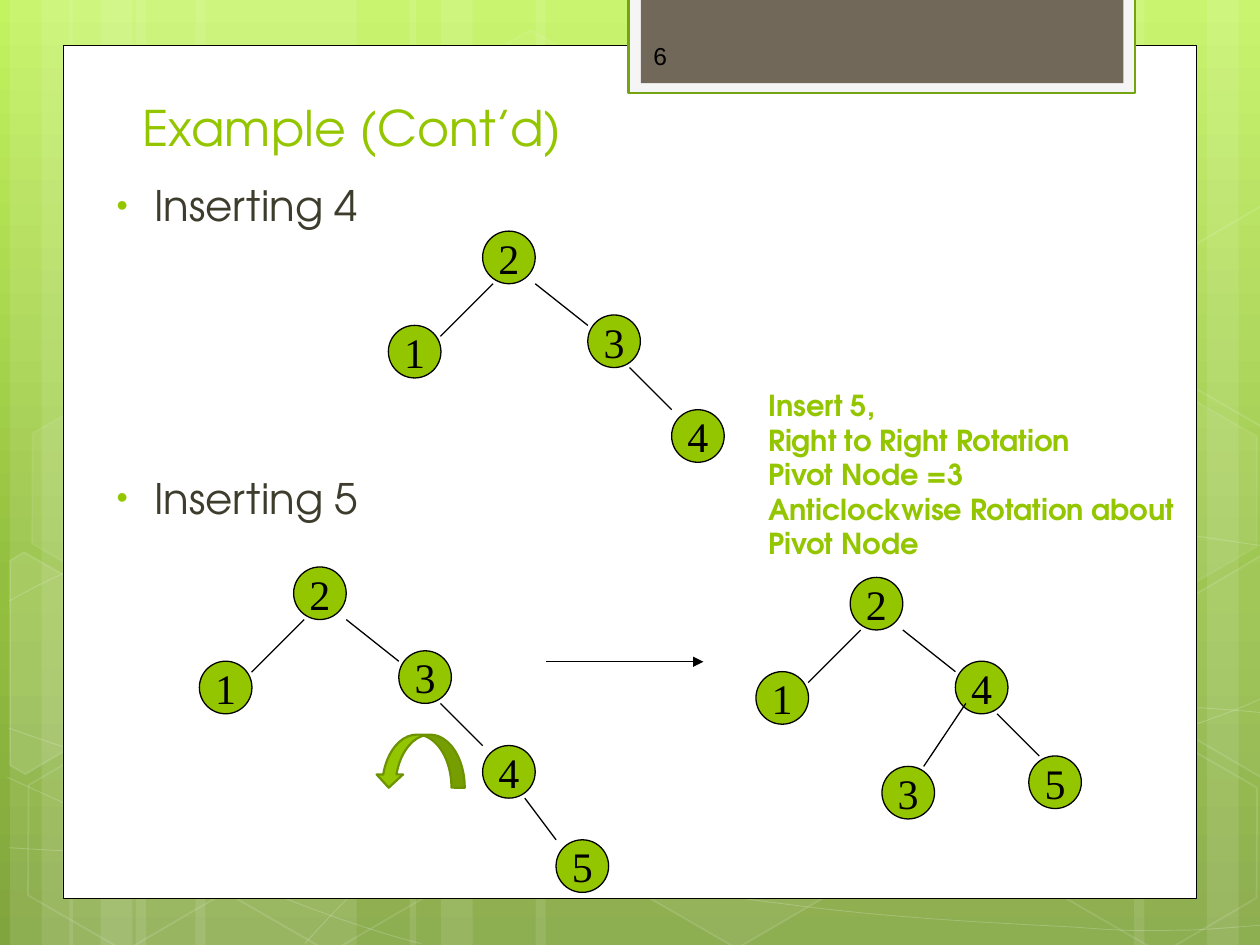
"""Build the slide on inserting 4 and 5 into a balanced search tree."""
import math
from pptx import Presentation, util as u
from pptx.dml.color import RGBColor
from pptx.enum import shapes as sh, text as tx
from pptx.oxml import parse_xml
from pptx.oxml.ns import nsdecls
from pptx.oxml.xmlchemy import OxmlElement

COLS = {"lime": "94C600", "moss": "6D9200", "edge": "74A510", "ink": "000000",
        "white": "FFFFFF", "pale": "F5F5F5", "taupe": "71685A", "body": "3E3D2D"}
SANS, SERIF = "TeX Gyre Adventor", "Times New Roman"
KIND = sh.MSO_SHAPE


def paint(item, fill=None, line=None, width=0.75, clear=None, faint=None):
    """Set fill and line colours, with opacity in percent where given."""
    item.shadow.inherit = False
    for part, name, alpha in ((item.fill, fill, clear), (item.line.fill, line, faint)):
        if name is None:
            part.background()
            continue
        part.solid()
        part.fore_color.rgb = RGBColor.from_string(COLS[name])
        if alpha is not None:
            tone = OxmlElement("a:alpha")
            tone.set("val", str(alpha * 1000))
            part._xPr.find(".//{*}srgbClr").append(tone)
    if line:
        item.line.width = u.Pt(width)


def write(para, words, size, face, name, bold=False):
    """Add one formatted run to a paragraph."""
    run = para.add_run()
    run.text = words
    run.font.size, run.font.name, run.font.bold = u.Pt(size), face, bold
    run.font.color.rgb = RGBColor.from_string(COLS[name])


deck = Presentation()
deck.slide_width, deck.slide_height = u.Cm(25.4), u.Cm(19.05)
slide = deck.slides.add_slide(deck.slide_layouts[5])
parts = slide.shapes

stops = "".join(f'<a:gs pos="{pos * 1000}"><a:srgbClr val="{tint}"/></a:gs>'
                for pos, tint in ((0, "C3F35F"), (62, "93BF3F"), (100, "81A53E")))
slide.element.cSld.insert(0, parse_xml(
    f'<p:bg {nsdecls("p", "a")}><p:bgPr><a:gradFill rotWithShape="1"><a:gsLst>{stops}</a:gsLst>'
    '<a:lin ang="5400000" scaled="0"/></a:gradFill><a:effectLst/></p:bgPr></p:bg>'))

stripes = [(2.74, 4.45), (0.2, 1.27), (0.84, 2.11), (3.94, 4.45), (1.4, 1.27), (2.03, 2.11),
           (18.62, 4.45), (24.33, 1.27), (22.86, 2.11), (10.8, 7.82), (8.26, 1.27), (8.89, 2.11)]
for left, wide in stripes:
    bar = parts.add_shape(KIND.RECTANGLE, u.Cm(left), 0, u.Cm(wide), deck.slide_height)
    paint(bar, "white", clear=10)

curves = [
    [(0.18, 17.09), (1.55, 17.17), (2.92, 17.25), (4.83, 17.22), (6.73, 17.2), (9.09, 17.15),
     (11.63, 16.89), (14.17, 16.64), (17.78, 16.18), (20.12, 15.67), (22.43, 15.19),
     (24.82, 14.43), (25.58, 14)],
    [(0.18, 12.12), (0.91, 11.71), (1.65, 11.33), (3.07, 10.95), (4.52, 10.57), (6.58, 10.01),
     (8.81, 9.83), (11.07, 9.65), (13.82, 9.63), (16.61, 9.83), (19.41, 10.03),
     (24.05, 10.82), (25.58, 11.02)],
    [(0.15, 15.67), (3.23, 17.07), (6.27, 18.47), (8.48, 19.02)],
    [(0.18, 14.68), (0.97, 14.96), (1.78, 15.24), (3.25, 15.65), (4.72, 16.03), (6.93, 16.66),
     (9.07, 17.09), (11.18, 17.53), (13.84, 17.98), (15.95, 18.24), (18.06, 18.52),
     (20.32, 18.62), (21.67, 18.69), (22.99, 18.8), (23.34, 18.75), (24, 18.75),
     (24.66, 18.72), (25.12, 18.67), (25.58, 18.64)],
    [(6.15, 19.02), (6.6, 18.52), (7.06, 18.01), (7.67, 17.55), (8.28, 17.09), (9.14, 16.59),
     (9.86, 16.23), (10.57, 15.88), (11, 15.72), (11.94, 15.47), (12.85, 15.21),
     (14.55, 14.86), (15.44, 14.68), (16.36, 14.5), (16.48, 14.5), (17.27, 14.45),
     (18.06, 14.38), (19.3, 14.3), (20.17, 14.27), (21.06, 14.25), (22.5, 14.27),
     (22.5, 14.27), (23, 14.27), (23.6, 14.27), (24.21, 14.27), (24.66, 14.3),
     (25.1, 14.33), (25.55, 14.38)],
]
for curve in curves:
    dots = [(x * 100, y * 100) for x, y in curve]
    pen = parts.build_freeform(*dots[0], scale=u.Cm(0.01))
    pen.add_line_segments(dots[1:], close=False)
    wave = pen.convert_to_shape()
    legs = wave.element.findall(".//{*}lnTo")
    for k in range(0, len(legs), 3):
        bend = OxmlElement("a:cubicBezTo")
        legs[k].addprevious(bend)
        for leg in legs[k:k + 3]:
            bend.append(leg[0])
            leg.getparent().remove(leg)
    paint(wave, None, "white", 0.5, faint=20)

cells = [(8.48, 0.91, 4, 8), (12.62, 14.96, 6, 12), (0.28, 15.01, 0, 12), (0.36, 7.92, 7, 8),
         (4.42, 15.04, 0, 12), (19.13, 11.51, 10, 12), (21.18, 15.06, 0, 12), (21.18, 7.98, 7, 8)]
for left, top, clear, faint in cells:
    cell = parts.add_shape(KIND.HEXAGON, u.Cm(left), u.Cm(top), u.Cm(4.45), u.Cm(3.86))
    cell.adjustments[0] = 0.285
    cell.rotation = 30
    paint(cell, "white" if clear else None, "white", 1, clear, faint)

shards = [
    (10, 0.91, 13.59, [(0.2, 11.3), (0.48, 11.13), (2.44, 12.24), (2.41, 14.48),
                       (0.51, 15.6), (0.2, 15.42)]),
    (4, 25.02, 13.21, [(23.52, 12.32), (25.43, 11.2), (25.63, 11.33), (25.63, 15.57),
                       (25.45, 15.67), (23.52, 14.55)]),
    (0, 25.02, 6.12, [(23.52, 5.26), (25.43, 4.14), (25.65, 4.27), (25.63, 8.51),
                      (25.45, 8.61), (23.52, 7.49)]),
]
cos, sin = math.cos(math.radians(30)), math.sin(math.radians(30))
for clear, cx, cy, ends in shards:
    dots = [(100 * (cx + (x - cx) * cos + (y - cy) * sin),
             100 * (cy - (x - cx) * sin + (y - cy) * cos)) for x, y in ends]
    pen = parts.build_freeform(*dots[0], scale=u.Cm(0.01))
    pen.add_line_segments(dots[1:], close=True)
    shard = pen.convert_to_shape()
    shard.rotation = 30
    paint(shard, "white" if clear else None, "white", 1, clear, 12)

panels = [(1.27, 0.91, 22.86, 17.2, "white", "ink", 0.5),
          (12.67, -0.05, 10.21, 1.93, "pale", "edge", 1.25),
          (12.92, -0.05, 9.73, 1.73, "taupe", None, 0)]
for left, top, wide, high, fill, line, width in panels:
    panel = parts.add_shape(KIND.RECTANGLE, u.Cm(left), u.Cm(top), u.Cm(wide), u.Cm(high))
    paint(panel, fill, line, width)

page = parts.add_textbox(u.Cm(12.92), u.Cm(0.62), u.Cm(3.71), u.Cm(1.02)).text_frame
page.word_wrap = True
page.vertical_anchor = tx.MSO_ANCHOR.MIDDLE
write(page.paragraphs[0], "6", 14, "Arial", "ink")

title = parts.title
parts.element.append(title.element)
title.left, title.top, title.width, title.height = u.Cm(2.62), u.Cm(1.68), u.Cm(19.51), u.Cm(1.6)
title.text_frame.vertical_anchor = tx.MSO_ANCHOR.BOTTOM
head = title.text_frame.paragraphs[0]
head.alignment = tx.PP_ALIGN.LEFT
write(head, "Example (Cont’d)", 28, SANS, "lime")

list_box = parts.add_textbox(u.Cm(1.9), u.Cm(3.5), u.Cm(18.82), u.Cm(9.75)).text_frame
list_box.word_wrap = True
for k, words in enumerate(("Inserting 4", "Inserting 5")):
    para = list_box.add_paragraph() if k else list_box.paragraphs[0]
    props = para._p.get_or_add_pPr()
    props.set("marL", str(u.Cm(0.96)))
    props.set("indent", str(u.Cm(-0.76)))
    for bit in (f'<a:buClr {nsdecls("a")}><a:srgbClr val="{COLS["lime"]}"/></a:buClr>',
                f'<a:buSzPct {nsdecls("a")} val="76000"/>',
                f'<a:buFont {nsdecls("a")} typeface="Arial"/>',
                f'<a:buChar {nsdecls("a")} char="•"/>'):
        props.append(parse_xml(bit))
    if k:
        para.space_before = u.Pt(138.5)
    write(para, words, 24, SANS, "body")

low, mid, far = (-1.9, 1.9), (2.12, 1.69), (3.81, 3.6)
to_low = (0.21, 1.06, -0.85, 2.12)
to_mid = (1.06, 1.06, 2.12, 1.9)
to_far = (2.96, 2.75, 3.81, 3.6)
trees = [
    (9.73, 4.66, {"2": (0, 0), "1": low, "3": mid, "4": far}, [to_low, to_mid, to_far]),
    (5.92, 11.43, {"2": (0, 0), "1": low, "3": mid, "4": far, "5": (5.29, 5.5)},
     [to_low, to_mid, to_far, (4.66, 4.66, 5.29, 5.5)]),
    (17.14, 11.64, {"2": (0, 0), "1": low, "4": mid, "3": (0.64, 3.81), "5": (3.6, 3.6)},
     [to_low, to_mid, to_far, (2.33, 2.54, 1.48, 3.81)]),
]
lines = [(11.01, 13.34, 14.18, 13.34)]
for left, top, nodes, edges in trees:
    for key, (x, y) in nodes.items():
        node = parts.add_shape(KIND.OVAL, u.Cm(left + x), u.Cm(top + y), u.Cm(1.06), u.Cm(1.06))
        paint(node, "lime", "ink")
        node.text_frame.word_wrap = False
        node.text_frame.vertical_anchor = tx.MSO_ANCHOR.MIDDLE
        node.text_frame.paragraphs[0].alignment = tx.PP_ALIGN.CENTER
        write(node.text_frame.paragraphs[0], key, 24, SERIF, "ink")
    lines += [(left + a, top + b, left + c, top + d) for a, b, c, d in edges]

for k, ends in enumerate(lines):
    link = parts.add_connector(sh.MSO_CONNECTOR.STRAIGHT, *[u.Cm(v) for v in ends])
    link.line.width = u.Pt(0.75)
    link.line.color.rgb = RGBColor.from_string(COLS["ink"])
    link.element.spPr.append(OxmlElement("a:effectLst"))
    if k == 0:
        tip = OxmlElement("a:tailEnd")
        tip.set("type", "triangle")
        link.line._get_or_add_ln().append(tip)

note = parts.add_textbox(u.Cm(15.24), u.Cm(8.25), u.Cm(9.75), u.Cm(3.18)).text_frame
note.word_wrap = True
note.vertical_anchor = tx.MSO_ANCHOR.BOTTOM
write(note.paragraphs[0], "Insert 5,", 16.5, SANS, "lime", True)
para = note.add_paragraph()
for k, words in enumerate(("Right to Right Rotation", "Pivot Node =3",
                           "Anticlockwise Rotation about Pivot Node")):
    if k:
        para.add_line_break()
    write(para, words, 16.5, SANS, "lime", True)

turn = parts.add_shape(KIND.CURVED_DOWN_ARROW, u.Cm(7.57), u.Cm(14.81), u.Cm(1.8), u.Cm(1.07))
turn.element.spPr.xfrm.set("flipH", "1")
paint(turn, "lime", "moss", 1.25)

deck.save("out.pptx")
